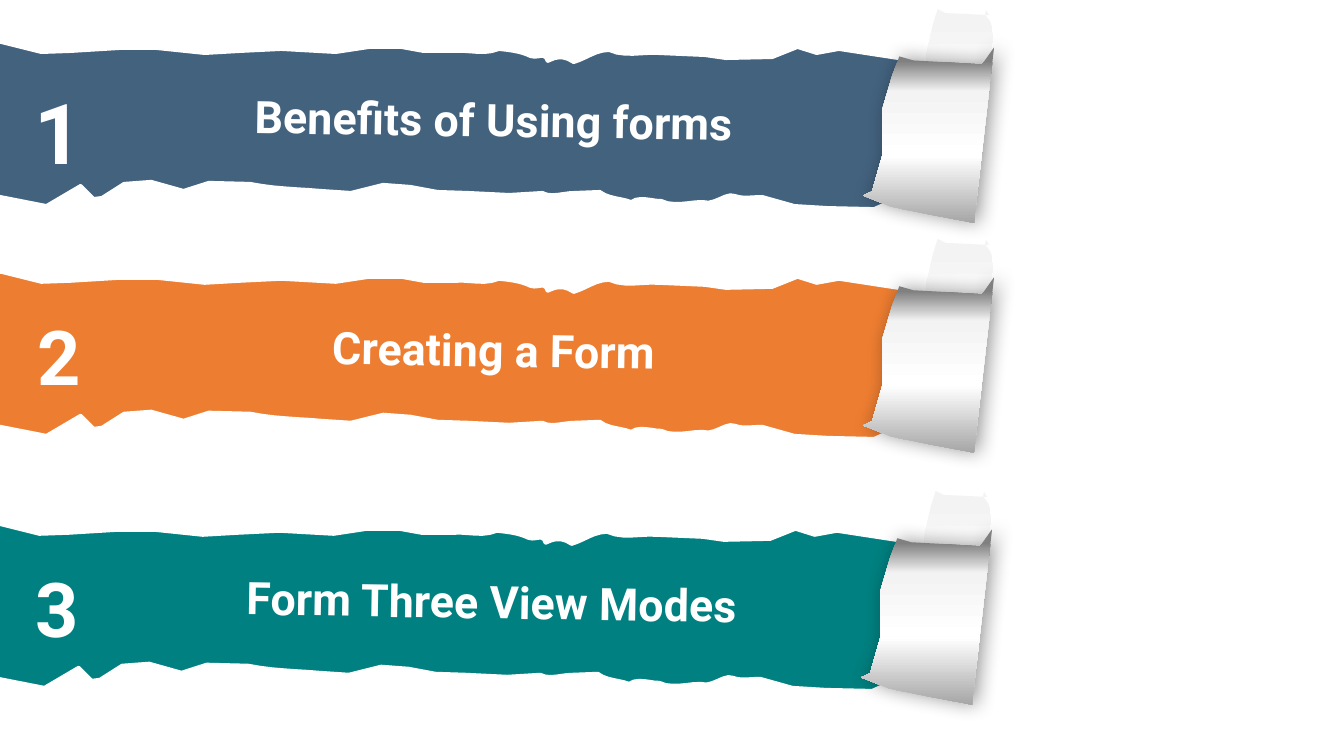
from dataclasses import dataclass

from lxml import etree
from pptx import Presentation
from pptx.dml.color import RGBColor
from pptx.enum.text import MSO_AUTO_SIZE, PP_ALIGN
from pptx.oxml.ns import qn
from pptx.util import Inches, Pt

CENTER = PP_ALIGN.CENTER
GROW = MSO_AUTO_SIZE.SHAPE_TO_FIT_TEXT

BANDS = [
    {"number": "1", "title": "Benefits of Using forms", "color": "43627E",
     "offset": (0, 0), "number_size": 60, "number_height": 1.11},
    {"number": "2", "title": "Creating a Form", "color": "ED7D31",
     "offset": (0, 2.28), "number_size": 54, "number_height": 0.71},
    {"number": "3", "title": "Form Three View Modes", "color": "008080",
     "offset": (-0.02, 4.78), "number_size": 54, "number_height": 1.01},
]

STRIP = [
    (-0.05, 1.94), (0.46, 2.04), (0.8, 1.84), (0.93, 1.97), (1.01, 1.96),
    (1.23, 1.82), (1.5, 1.8), (1.82, 1.89), (2.07, 1.81), (2.48, 1.82),
    (2.73, 1.87, 2.95, 1.87, 3.18, 1.89), (3.48, 1.91), (3.8, 1.83),
    (4.07, 1.85), (4.34, 1.9), (4.64, 1.91), (5.05, 1.93), (5.38, 1.91),
    (5.46, 1.96, 5.59, 1.91, 5.7, 1.91), (5.95, 1.9),
    (6.04, 1.97, 6.16, 1.96, 6.26, 2), (6.34, 1.94, 6.46, 1.99, 6.56, 1.99),
    (6.68, 2.05, 6.83, 2, 6.97, 2), (7.08, 2.04, 7.2, 1.9, 7.29, 1.94),
    (7.36, 1.97, 7.47, 1.95, 7.56, 1.95), (7.88, 2.04), (8.21, 2.06),
    (8.67, 2.07), (8.78, 2.02), (8.84, 1.89), (8.95, 1.33), (8.94, 0.98),
    (9.01, 0.66), (9.04, 0.6), (8.32, 0.49), (8.1, 0.53), (7.91, 0.47),
    (7.66, 0.57), (7.2, 0.58), (6.99, 0.55), (6.53, 0.53),
    (6.37, 0.52, 6.19, 0.57, 6.04, 0.5), (5.91, 0.5, 5.8, 0.59, 5.69, 0.62),
    (5.57, 0.54, 5.5, 0.58, 5.43, 0.61), (5.4, 0.51, 5.34, 0.59, 5.26, 0.56),
    (5.17, 0.52, 5.13, 0.51, 4.95, 0.49), (4.8, 0.55, 4.67, 0.5, 4.52, 0.51),
    (4.2, 0.51), (3.98, 0.47), (3.66, 0.47), (3.33, 0.52), (2.79, 0.49),
    (2.38, 0.51), (2.03, 0.53), (1.55, 0.48), (1.19, 0.48), (0.7, 0.51),
    (0.41, 0.52), (0.01, 0.42), (-0.18, 0.43), (-0.1, 0.84), (-0.17, 1.62),
]
CURL_BACK = [
    (9.06, 1.22), (9.23, 1.31), (9.48, 1.37), (9.74, 1.44),
    (9.78, 1.08, 9.84, 0.59, 9.85, 0.37), (9.85, 0.14, 9.74, 0.19, 9.78, 0.1),
    (9.81, 0.15), (9.61, 0.14), (9.38, 0.13), (9.3, 0.09), (9.25, 0.25),
    (9.19, 0.53), (9.18, 0.9), (9.12, 1.19),
]
CURL_FRONT = [
    (8.56, 1.94), (8.84, 2.05), (9.23, 2.13), (9.66, 2.21), (9.81, 0.9),
    (9.86, 0.47), (9.74, 0.64), (9.43, 0.62), (9.06, 0.6), (8.92, 0.56),
    (8.85, 0.75), (8.75, 1.09), (8.75, 1.55), (8.65, 1.9),
]
NUMBER_BOX = (0.23, 0.75, 0.71)
TITLE_BOX = (1.24, 0.87, 7.31, 0.64)


@dataclass(frozen=True)
class Theme:
    font: str = "Roboto"
    white: str = "FFFFFF"
    shadow: str = "000000"
    title_size: int = 32
    edge: float = 2.25
    back_stops: tuple = ((8, "F3F3F3"), (62, "FFFFFF"), (100, "A6A6A6"))
    front_stops: tuple = ((8, "808080"), (25, "F3F3F3"), (62, "FFFFFF"),
                          (100, "A6A6A6"))


THEME = Theme()


def flatten(outline, steps=6):
    points = [outline[0]]
    for segment in outline[1:]:
        if len(segment) == 2:
            points.append(segment)
            continue
        start, c1, c2, end = points[-1], segment[:2], segment[2:4], segment[4:]
        for i in range(1, steps + 1):
            t = i / steps
            u = 1 - t
            points.append(tuple(
                u**3 * a + 3 * u * u * t * b + 3 * u * t * t * c + t**3 * d
                for a, b, c, d in zip(start, c1, c2, end)))
    return points


def add_outline(slide, outline, offset):
    points = [(x * 1000, y * 1000) for x, y in flatten(outline)]
    builder = slide.shapes.build_freeform(*points[0], scale=Inches(1) / 1000)
    builder.add_line_segments(points[1:], close=True)
    sp = builder.convert_to_shape(*(Inches(v) for v in offset))
    sp.shadow.inherit = False
    return sp


def add_color(parent, color):
    return etree.SubElement(parent, qn("a:srgbClr"), val=color)


def add_curl(slide, outline, offset, stops):
    sp = add_outline(slide, outline, offset)
    sp.line.fill.background()
    sp.fill.gradient()
    grad = sp._element.spPr.find(qn("a:gradFill"))
    for child in list(grad):
        grad.remove(child)
    gs_list = etree.SubElement(grad, qn("a:gsLst"))
    for share, color in stops:
        add_color(etree.SubElement(gs_list, qn("a:gs"), pos=str(share * 1000)), color)
    etree.SubElement(grad, qn("a:lin"), ang="5400000", scaled="0")
    return sp


def cast_shadow(sp):
    effects = sp._element.spPr.find(qn("a:effectLst"))
    shadow = etree.SubElement(effects, qn("a:outerShdw"), blurRad=str(Pt(14)),
                              dist=str(Pt(3)), dir="0", algn="ctr", rotWithShape="0")
    etree.SubElement(add_color(shadow, THEME.shadow), qn("a:alpha"), val="40000")


def add_label(slide, text, box, offset, size, rotation=0):
    x, y, w, h = box
    sp = slide.shapes.add_textbox(Inches(x + offset[0]), Inches(y + offset[1]),
                                  Inches(w), Inches(h))
    sp.rotation = rotation
    tf = sp.text_frame
    tf.word_wrap = True
    tf.auto_size = GROW
    p = tf.paragraphs[0]
    p.text = text
    p.alignment = CENTER
    p.font.name = THEME.font
    p.font.size = Pt(size)
    p.font.bold = True
    p.font.color.rgb = RGBColor.from_string(THEME.white)


def add_band(slide, band):
    offset = band["offset"]
    strip = add_outline(slide, STRIP, offset)
    strip.fill.solid()
    strip.fill.fore_color.rgb = RGBColor.from_string(band["color"])
    strip.line.color.rgb = RGBColor.from_string(THEME.white)
    strip.line.width = Pt(THEME.edge)
    add_curl(slide, CURL_BACK, offset, THEME.back_stops)
    cast_shadow(add_curl(slide, CURL_FRONT, offset, THEME.front_stops))
    add_label(slide, band["number"], (*NUMBER_BOX, band["number_height"]), offset,
              band["number_size"])
    add_label(slide, band["title"], TITLE_BOX, offset, THEME.title_size, rotation=1)


def main():
    prs = Presentation()
    prs.slide_width, prs.slide_height = Inches(13.33), Inches(7.5)
    slide = prs.slides.add_slide(prs.slide_layouts[6])
    for band in BANDS:
        add_band(slide, band)
    prs.save("out.pptx")


if __name__ == "__main__":
    main()
